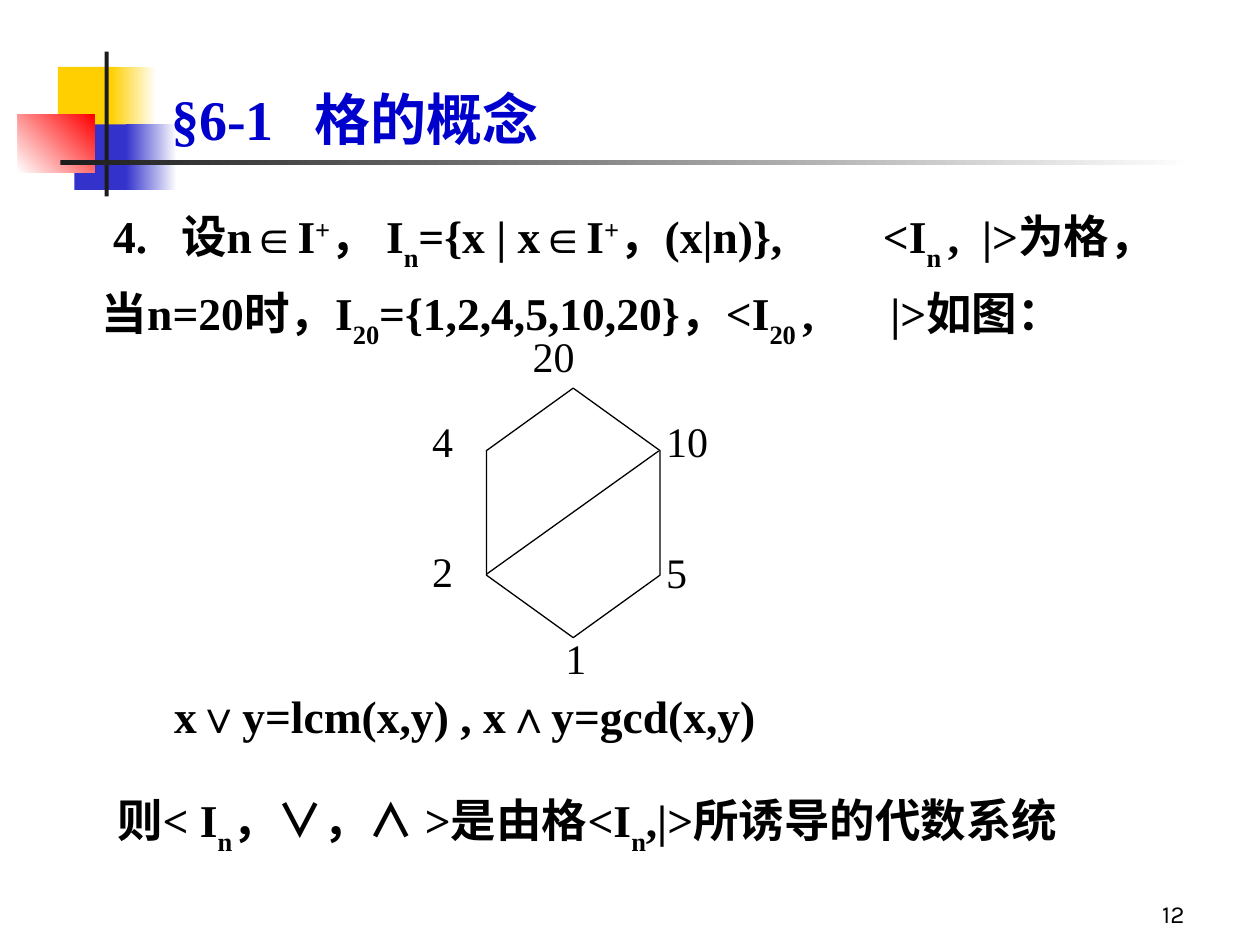
from dataclasses import dataclass
from typing import Any

from lxml.etree import SubElement as Sub
from pptx import Presentation
from pptx.dml.color import RGBColor as Rgb
from pptx.enum.shapes import MSO_CONNECTOR as Link, MSO_SHAPE as Kind
from pptx.enum.text import MSO_ANCHOR as Anchor, PP_ALIGN as Align
from pptx.oxml.ns import qn
from pptx.util import Cm, Pt

HUES = {
    "gold": "FFCF01", "blue": "3333CC", "red": "FF0000", "dark": "1C1C1C",
    "white": "FFFFFF", "black": "000000", "title": "0000CC",
}
SERIF = "Times New Roman"
SHIFTS = {"^": 30000, "_": -30000}

Box = tuple[float, float, float, float]


@dataclass
class Bar:
    box: Box
    hue: str
    fade: str = ""
    angle: float = 0


@dataclass
class Para:
    """Bits led by ^ are superscript, by _ subscript; tabs and left are in cm."""
    bits: list[str]
    tabs: tuple[float, ...] = ()
    left: float = 0


@dataclass
class Node:
    text: str
    x: float
    y: float


BARS = [
    Bar((1.17, 1.35, 1.22, 1.32), "gold"),
    Bar((2.24, 1.35, 0.91, 1.32), "gold", "white"),
    Bar((1.5, 2.51, 1.17, 1.32), "blue"),
    Bar((2.54, 2.51, 1.02, 1.32), "blue", "white"),
    Bar((0.36, 2.31, 1.55, 1.17), "white", "red", 45),
    Bar((2.11, 1.04, 0.08, 2.92), "dark"),
    Bar((1.22, 3.23, 22.86, 0.1), "dark", "white"),
]
NODES = [
    Node("20", 10.49, 6.53), Node("10", 13.18, 8.26), Node("4", 8.46, 8.26),
    Node("2", 8.46, 10.87), Node("5", 13.18, 10.9), Node("1", 11.15, 12.62),
]
TITLE = [Para(["§6-1\t格的概念"], (2.9,))]
BODY = [
    Para(["\u00a04.\t设n", "∈", "I", "^+", "， I", "_n", "={x | x", "∈", "I", "^+",
          "，(x|n)},\t<I", "_n ", ",\t|>为格，"], (1.6, 15.75, 17.75)),
    Para(["当n=20时，I", "_20", "={1,2,4,5,10,20}，<I", "_20 ", ",\t|>如图："],
         (15.9,)),
]
RULES = [
    Para(["x∨y=lcm(x,y) , x∧y=gcd(x,y)"], left=1.15),
    Para(["则< I", "_n", "，∨，∧ >是由格<I", "_n", ",|>所诱导的代数系统"]),
]


def rgb(name: str) -> Rgb:
    return Rgb.from_string(HUES[name])


def put(item: Any, form: dict[str, Any]) -> None:
    """Set each attribute named in form."""
    for key, val in form.items():
        setattr(item, key, val)


def draw_bar(tree: Any, bar: Bar) -> None:
    shape = tree.add_shape(Kind.RECTANGLE, *map(Cm, bar.box))
    shape.shadow.inherit = False
    shape.line.fill.background()
    if not bar.fade:
        shape.fill.solid()
        shape.fill.fore_color.rgb = rgb(bar.hue)
        return
    shape.fill.gradient()
    shape.fill.gradient_angle = bar.angle
    for stop, hue in zip(shape.fill.gradient_stops, (bar.hue, bar.fade)):
        stop.color.rgb = rgb(hue)


def draw_text(tree: Any, box: Box, paras: list[Para], font: dict[str, Any],
              hue: str = "black", anchor: Any = Anchor.TOP,
              form: dict[str, Any] | None = None) -> None:
    frame = tree.add_textbox(*map(Cm, box)).text_frame
    put(frame, {"word_wrap": True, "vertical_anchor": anchor})
    for i, para in enumerate(paras):
        line = frame.add_paragraph() if i else frame.paragraphs[0]
        put(line, form or {})
        props = line._p.get_or_add_pPr()
        if para.left:
            props.set("marL", str(Cm(para.left)))
        if para.tabs:
            stops = Sub(props, qn("a:tabLst"))
            for pos in para.tabs:
                Sub(stops, qn("a:tab"), pos=str(Cm(pos)), algn="l")
        for bit in para.bits:
            shift = SHIFTS.get(bit[0])
            run = line.add_run()
            run.text = bit[1:] if shift else bit
            put(run.font, font)
            run.font.color.rgb = rgb(hue)
            if bit == "∈":
                run.font.name = "Arial"
            if shift:
                run.font._element.set("baseline", str(shift))


def draw_graph(tree: Any) -> None:
    """Draw the Hasse diagram of the divisors of 20."""
    ring = tree.add_shape(Kind.HEXAGON, *map(Cm, (9.04, 8.59, 5.03, 3.5)))
    ring.rotation = 90
    ring.adjustments[0] = 0.36
    ring.shadow.inherit = False
    ring.fill.background()
    edge = tree.add_connector(Link.STRAIGHT, *map(Cm, (13.28, 9.09, 9.8, 11.58)))
    Sub(edge._element.spPr, qn("a:effectLst"))
    for item in (ring, edge):
        item.line.color.rgb = rgb("black")
        item.line.width = Pt(0.75)
    for node in NODES:
        draw_text(tree, (node.x, node.y, 2, 1.32), [Para([node.text])],
                  {"size": Pt(24), "name": SERIF}, form={"alignment": Align.JUSTIFY})


def main() -> None:
    deck = Presentation()
    put(deck, {"slide_width": Cm(25.4), "slide_height": Cm(19.05)})
    tree = deck.slides.add_slide(deck.slide_layouts[6]).shapes
    for bar in BARS:
        draw_bar(tree, bar)
    bold = {"size": Pt(26), "name": SERIF, "bold": True}
    draw_text(tree, (18.85, 17.58, 5.28, 1.27), [Para(["12"])],
              {"size": Pt(14), "name": "Karla"}, anchor=Anchor.BOTTOM,
              form={"alignment": Align.RIGHT})
    draw_text(tree, (3.2, 0, 21.64, 3.18), TITLE, bold | {"size": Pt(32)},
              "title", Anchor.BOTTOM)
    draw_text(tree, (1.8, 3.81, 22.53, 5.28), BODY, bold,
              form={"line_spacing": 1.2})
    draw_graph(tree.add_group_shape().shapes)
    draw_text(tree, (2.11, 13.08, 21.79, 4.32), RULES, bold,
              form={"line_spacing": 1.6, "space_before": Pt(6.5)})
    deck.save("out.pptx")


if __name__ == "__main__":
    main()
